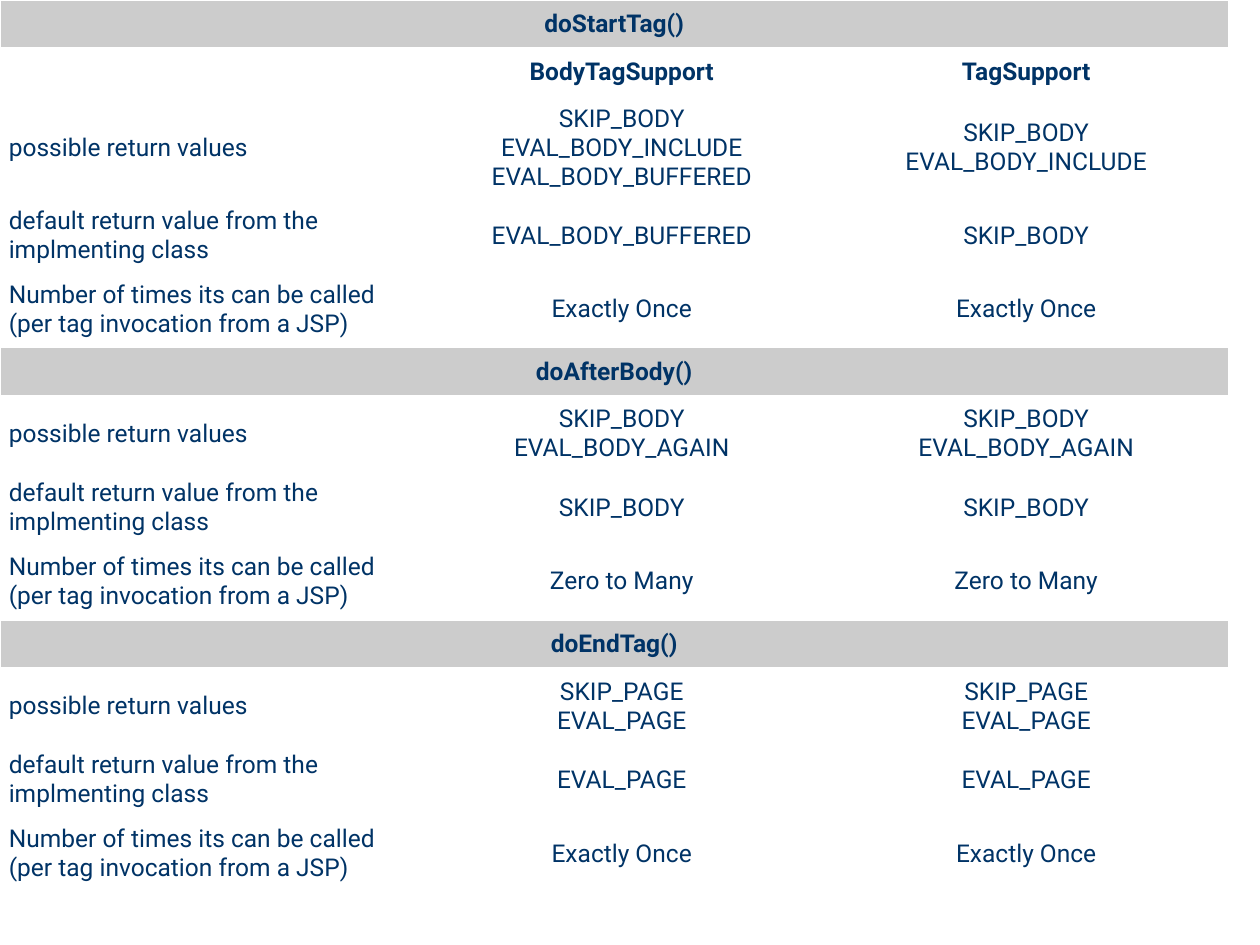
from copy import deepcopy
from lxml.etree import SubElement
from pptx import Presentation
from pptx.dml.color import RGBColor
from pptx.enum.text import MSO_ANCHOR as Anchor, PP_ALIGN as Align
from pptx.oxml.ns import qn
from pptx.util import Inches, Pt

NAVY = RGBColor(0x00, 0x33, 0x66)
GREY = RGBColor(0xCC, 0xCC, 0xCC)
WHITE = RGBColor(0xFF, 0xFF, 0xFF)

FONT = {"name": "Roboto", "size": Pt(14)}
CELL = {
    "vertical_anchor": Anchor.MIDDLE,
    "margin_left": Inches(0.07),
    "margin_right": Inches(0.07),
    "margin_top": Inches(0.05),
    "margin_bottom": Inches(0.05),
}
FLAGS = ("first_row", "horz_banding")
COLS = (3.33, 3.21, 3.21)
BAR = 0.38
LABELS = (
    ("possible return values", 0.61),
    ("default return value from the implmenting class", 0.54),
    ("Number of times its can be called (per tag invocation from a JSP)", 0.61),
)
HEADS = ("", "BodyTagSupport", "TagSupport")

# Each method: its name, then a (BodyTagSupport, TagSupport) pair per label.
METHODS = (
    ("doStartTag()", (
        ("SKIP_BODY\vEVAL_BODY_INCLUDE\vEVAL_BODY_BUFFERED",
         "SKIP_BODY\vEVAL_BODY_INCLUDE"),
        ("EVAL_BODY_BUFFERED", "SKIP_BODY"),
        ("Exactly Once",) * 2)),
    ("doAfterBody()", (
        ("SKIP_BODY\vEVAL_BODY_AGAIN",) * 2,
        ("SKIP_BODY",) * 2,
        ("Zero to Many",) * 2)),
    ("doEndTag()", (
        ("SKIP_PAGE\vEVAL_PAGE",) * 2,
        ("EVAL_PAGE",) * 2,
        ("Exactly Once",) * 2)),
)

# Rows are (height, texts, bold, fill); a bar has one text across all columns.
rows = []
for name, pairs in METHODS:
    rows.append((BAR, (name,), True, GREY))
    if len(rows) == 1:
        rows.append((BAR, HEADS, True, WHITE))
    for (label, high), pair in zip(LABELS, pairs):
        high = max(high, 0.83) if "\v" in pair[0] and pair[0].count("\v") > 1 else high
        rows.append((high, (label, *pair), False, WHITE))

prs = Presentation()
prs.slide_width, prs.slide_height = Inches(10), Inches(7.5)
slide = prs.slides.add_slide(prs.slide_layouts[6])

total = sum(row[0] for row in rows)
table = slide.shapes.add_table(
    len(rows), len(COLS), 0, 0, Inches(sum(COLS)), Inches(total)).table
for flag in FLAGS:
    setattr(table, flag, False)
for col, wide in zip(table.columns, COLS):
    col.width = Inches(wide)

for r, (high, texts, bold, fill) in enumerate(rows):
    table.rows[r].height = Inches(high)
    if len(texts) == 1:
        table.cell(r, 0).merge(table.cell(r, len(COLS) - 1))
    for c, text in enumerate(texts):
        cell = table.cell(r, c)
        for key, value in CELL.items():
            setattr(cell, key, value)
        cell.fill.solid()
        cell.fill.fore_color.rgb = fill
        para = cell.text_frame.paragraphs[0]
        para.alignment = Align.CENTER if bold or c else Align.LEFT
        para.text = text
        for run in para.runs:
            for key, value in FONT.items():
                setattr(run.font, key, value)
            run.font.bold = bold
            run.font.color.rgb = NAVY
        # Line breaks and empty cells need the text size too.
        for br in para._p.findall(qn("a:br")):
            br.append(deepcopy(para.runs[0]._r.rPr))
        if not text:
            SubElement(para._p, qn("a:endParaRPr"), sz="1400")

prs.save("out.pptx")
